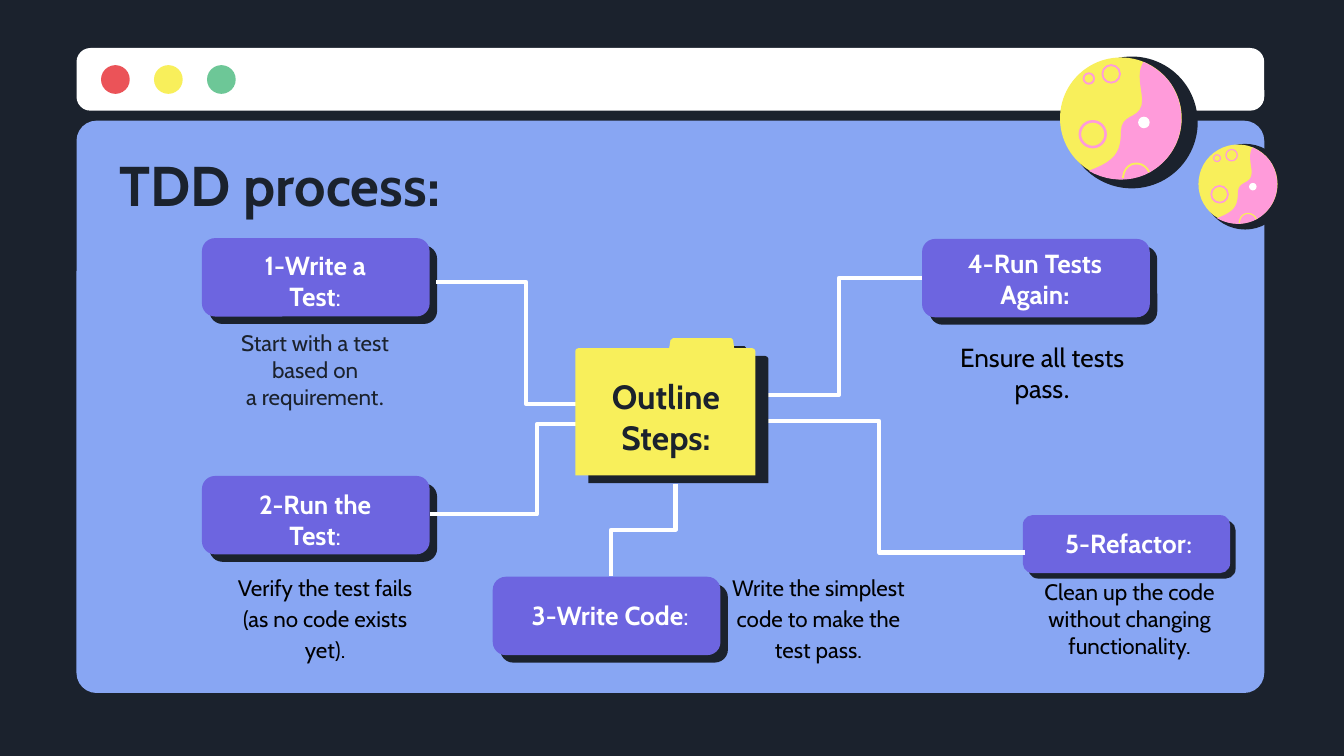
from dataclasses import dataclass
from typing import NamedTuple

import pptx
import pptx.dml.color
import pptx.enum.shapes
import pptx.enum.text
import pptx.oxml
import pptx.oxml.ns
import pptx.util

Pt = pptx.util.Pt
SHAPES = pptx.enum.shapes.MSO_SHAPE
ALIGN = pptx.enum.text.PP_ALIGN
ANCHOR = pptx.enum.text.MSO_ANCHOR


@dataclass(frozen=True)
class Theme:
    dark: str = "1B222D"
    panel: str = "88A6F3"
    white: str = "FFFFFF"
    red: str = "EB5358"
    yellow: str = "F8EF5B"
    green: str = "6DC797"
    pink: str = "FF9BDA"
    violet: str = "6D65E0"
    black: str = "000000"
    font: str = "Cabin"
    alt_font: str = "Calibri"
    title: float = 30
    folder: float = 18
    label: float = 14
    note: float = 12


THEME = Theme()


class Box(NamedTuple):
    left: float
    top: float
    width: float
    height: float


class Line(NamedTuple):
    text: str
    tail: str = ""
    tail_font: str = THEME.font


@dataclass(frozen=True)
class TextBlock:
    box: Box
    lines: tuple[Line, ...]
    size: float = THEME.note
    color: str = THEME.black
    bold: bool = False
    middle: bool = False
    inset: float = 7.2
    spaced: bool = False


@dataclass(frozen=True)
class Step:
    button: Box
    label: TextBlock
    note: TextBlock


def rgb(color: str):
    return pptx.dml.color.RGBColor.from_string(color)


def paint(shape, fill: str | None, outline: str | None = None, weight: float = 1) -> None:
    shape.shadow.inherit = False
    if fill:
        shape.fill.solid()
        shape.fill.fore_color.rgb = rgb(fill)
    else:
        shape.fill.background()
    if outline:
        shape.line.color.rgb = rgb(outline)
        shape.line.width = Pt(weight)
    else:
        shape.line.fill.background()


def rounded(slide, box: Box, fill: str, corner: float) -> None:
    shape = slide.shapes.add_shape(SHAPES.ROUNDED_RECTANGLE, *map(Pt, box))
    shape.adjustments[0] = corner
    paint(shape, fill)


def circle(slide, x: float, y: float, radius: float, fill: str | None,
           outline: str | None = None, weight: float = 1) -> None:
    shape = slide.shapes.add_shape(
        SHAPES.OVAL, Pt(x - radius), Pt(y - radius), Pt(2 * radius), Pt(2 * radius))
    paint(shape, fill, outline, weight)


def outline_shape(slide, points: list, close: bool = True):
    start, *rest = [(Pt(x), Pt(y)) for x, y in points]
    builder = slide.shapes.build_freeform(*start)
    builder.add_line_segments(rest, close=close)
    return builder.convert_to_shape()


def curve(start: tuple, segments: tuple, steps: int = 10) -> list:
    """Sample a chain of cubic curves; each segment is (control, control, end)."""
    points = [start]
    for c1, c2, end in segments:
        p0 = points[-1]
        for i in range(1, steps + 1):
            t = i / steps
            u = 1 - t
            points.append(tuple(u**3 * a + 3 * u * u * t * b + 3 * u * t * t * c + t**3 * d
                                for a, b, c, d in zip(p0, c1, c2, end)))
    return points


# Planet parts, relative to the planet's centre
LAND = curve((12.2, -30.2), (
    ((18, -27.4), (23, -23.8), (26.6, -18.7)),
    ((29, -15), (31, -10.5), (31.7, -6.5)),
    ((34.6, 7.9), (28.1, 21.6), (15.8, 28.8)),
    ((5.5, 34.5), (-7, 34), (-17.3, 28.1)),
    ((-3.6, 23), (0, 18.7), (0, 7.2)),
    ((0, -5), (14.4, 2.9), (10.8, -15.1)),
    ((9.4, -23), (10.1, -27.4), (12.2, -30.2)),
))
RIM = curve((15.1, 28.8), (((12.5, 22.5), (2, 22), (1, 32)),))
CRATERS = ((-5.2, -23.8, 4.7, 1), (-15.1, 8.5, 6.9, 1.4), (-17.2, -21.3, 2.8, 1))


def planet(slide, x: float, y: float, scale: float) -> None:
    def placed(points: list) -> list:
        return [(x + px * scale, y + py * scale) for px, py in points]

    circle(slide, x + 5.8 * scale, y + 2.2 * scale, 35.3 * scale, THEME.dark)
    circle(slide, x, y, 32.6 * scale, THEME.yellow)
    for cx, cy, radius, weight in CRATERS:
        circle(slide, x + cx * scale, y + cy * scale, radius * scale, None,
               THEME.pink, weight * scale)
    paint(outline_shape(slide, placed(LAND)), THEME.pink)
    paint(outline_shape(slide, placed(RIM), close=False), None, THEME.yellow, scale)
    circle(slide, x + 12.3 * scale, y + 2.2 * scale, 3.1 * scale, THEME.white)


def style(paragraph, size: float, color: str, bold: bool) -> None:
    paragraph.font.name = THEME.font
    paragraph.font.size = Pt(size)
    paragraph.font.bold = bold
    paragraph.font.color.rgb = rgb(color)


def set_frame(frame, inset: float, middle: bool) -> None:
    frame.word_wrap = True
    frame.auto_size = pptx.enum.text.MSO_AUTO_SIZE.NONE
    frame.vertical_anchor = ANCHOR.MIDDLE if middle else ANCHOR.TOP
    frame.margin_left = frame.margin_right = Pt(7.2)
    frame.margin_top = frame.margin_bottom = Pt(inset)


def write(slide, block: TextBlock) -> None:
    frame = slide.shapes.add_textbox(*map(Pt, block.box)).text_frame
    set_frame(frame, block.inset, block.middle)
    for i, line in enumerate(block.lines):
        paragraph = frame.add_paragraph() if i else frame.paragraphs[0]
        paragraph.alignment = ALIGN.CENTER
        style(paragraph, block.size, block.color, block.bold)
        if block.spaced:
            paragraph.line_spacing = 1.15
            paragraph.space_after = Pt(8)
            paragraph._p.get_or_add_pPr().set("marL", str(Pt(36)))
        paragraph.add_run().text = line.text
        if line.tail:
            tail = paragraph.add_run()
            tail.text = line.tail
            tail.font.bold = False
            tail.font.name = line.tail_font


def label(box: Box, *lines: Line, inset: float = 7.2, middle: bool = True) -> TextBlock:
    return TextBlock(box, lines, THEME.label, THEME.white, True, middle, inset)


def elbow(slide, x1: float, y1: float, x2: float, y2: float, quarter_turn: bool = False) -> None:
    link = slide.shapes.add_connector(
        pptx.enum.shapes.MSO_CONNECTOR.ELBOW, Pt(x1), Pt(y1), Pt(x2), Pt(y2))
    link.line.color.rgb = rgb(THEME.white)
    link.line.width = Pt(2.25)
    properties = link._element.spPr
    properties.append(pptx.oxml.parse_xml(f'<a:effectLst {pptx.oxml.ns.nsdecls("a")}/>'))
    if quarter_turn:
        properties.find(pptx.oxml.ns.qn("a:xfrm")).set("rot", "5400000")


def folder(slide) -> None:
    shape = outline_shape(slide, [
        (404.6, 188), (404.6, 254.7), (308.2, 254.7), (308.2, 188), (308.7, 187), (310, 186.5),
        (358.5, 186.5), (359.2, 182.2), (360.5, 181.2), (391.8, 181.2), (392.7, 182.2),
        (393.3, 186.5), (402.8, 186.5), (404.1, 187)])
    paint(shape, THEME.yellow)
    effects = shape._element.spPr.find(pptx.oxml.ns.qn("a:effectLst"))
    effects.append(pptx.oxml.parse_xml(
        f'<a:outerShdw {pptx.oxml.ns.nsdecls("a")} dist="{Pt(8.2)}" dir="{31 * 60000}" '
        f'algn="bl" rotWithShape="0"><a:srgbClr val="{THEME.dark}"/></a:outerShdw>'))


STEPS = (
    Step(Box(108.2, 127.6, 122, 42),
         label(Box(121, 132.5, 95.8, 35.3), Line("1-Write a Test", ":")),
         TextBlock(Box(115.2, 169.2, 107.3, 46.8),
                   (Line("Start with a test based on"),
                    Line("a requirement", ".", THEME.alt_font)), color=THEME.dark)),
    Step(Box(108.2, 255, 122, 42),
         label(Box(115.2, 260.6, 107.3, 35.3), Line("2-Run the"), Line("Test", ":")),
         TextBlock(Box(83.5, 298.1, 145.4, 41.8),
                   (Line("Verify the test fails (as no code exists yet)."),), spaced=True)),
    Step(Box(264, 309, 122, 42),
         label(Box(257.8, 317.5, 138.2, 24.5), Line("3-Write Code", ":"), inset=3.6, middle=False),
         TextBlock(Box(347.8, 298.1, 145.4, 59.8),
                   (Line("Write the simplest code to make the test pass."),), spaced=True)),
    Step(Box(494, 128, 122, 42),
         label(Box(484.6, 128.9, 139.7, 41), Line("4-Run Tests"), Line("Again:"),
               inset=3.6, middle=False),
         TextBlock(Box(504.7, 175.7, 107.3, 46.8),
                   (Line("Ensure all tests pass", ".", THEME.alt_font),), THEME.label)),
    Step(Box(548, 276, 111, 31),
         label(Box(535, 278.6, 139.7, 25.2), Line("5-Refactor", ":", THEME.alt_font)),
         TextBlock(Box(551.5, 302.4, 107.3, 46.8),
                   (Line("Clean up the code without changing functionality."),))),
)
SIDE_LINKS = ((233.6, 151.1, 330.2, 216.6), (230.3, 275.6, 345, 227.3),
              (494, 148.9, 404.9, 211.6), (549, 296, 393, 225.5))


def main() -> None:
    deck = pptx.Presentation()
    deck.slide_width, deck.slide_height = Pt(720), Pt(405)
    slide = deck.slides.add_slide(deck.slide_layouts[5])
    slide.background.fill.solid()
    slide.background.fill.fore_color.rgb = rgb(THEME.dark)

    # Browser window and its three buttons
    rounded(slide, Box(41, 64.7, 636.3, 306.6), THEME.panel, 0.035)
    rounded(slide, Box(41, 25.7, 636.3, 33.6), THEME.white, 0.223)
    for i, color in enumerate((THEME.red, THEME.yellow, THEME.green)):
        circle(slide, 61.8 + 28.4 * i, 42.6, 7.7, color)

    # Planets
    planet(slide, 600.5, 63.4, 1)
    planet(slide, 663.2, 98.6, 0.65)

    # Title, raised above the window
    title = slide.shapes.title
    slide.shapes._spTree.append(title._element)
    title.left, title.top, title.width, title.height = map(Pt, (56.9, 76.3, 607, 44.6))
    title.text_frame.text = "TDD process:"
    set_frame(title.text_frame, 7.2, True)
    title.text_frame.paragraphs[0].alignment = ALIGN.LEFT
    style(title.text_frame.paragraphs[0], THEME.title, THEME.dark, True)

    # Steps: shadow, button, label and note
    for step in STEPS:
        drop = step.button.height * 0.095
        shadow = step.button._replace(left=step.button.left + drop, top=step.button.top + drop)
        rounded(slide, shadow, THEME.dark, 0.167)
        rounded(slide, step.button, THEME.violet, 0.167)
        write(slide, step.label)
        write(slide, step.note)

    # Links and central folder
    for link in SIDE_LINKS:
        elbow(slide, *link)
    folder(slide)
    elbow(slide, 319.7, 266.6, 369.4, 301.2, quarter_turn=True)
    write(slide, TextBlock(Box(303.1, 194.4, 107.3, 52.6), (Line("Outline"), Line("Steps:")),
                           THEME.folder, THEME.dark, True))

    deck.save("out.pptx")


if __name__ == "__main__":
    main()
